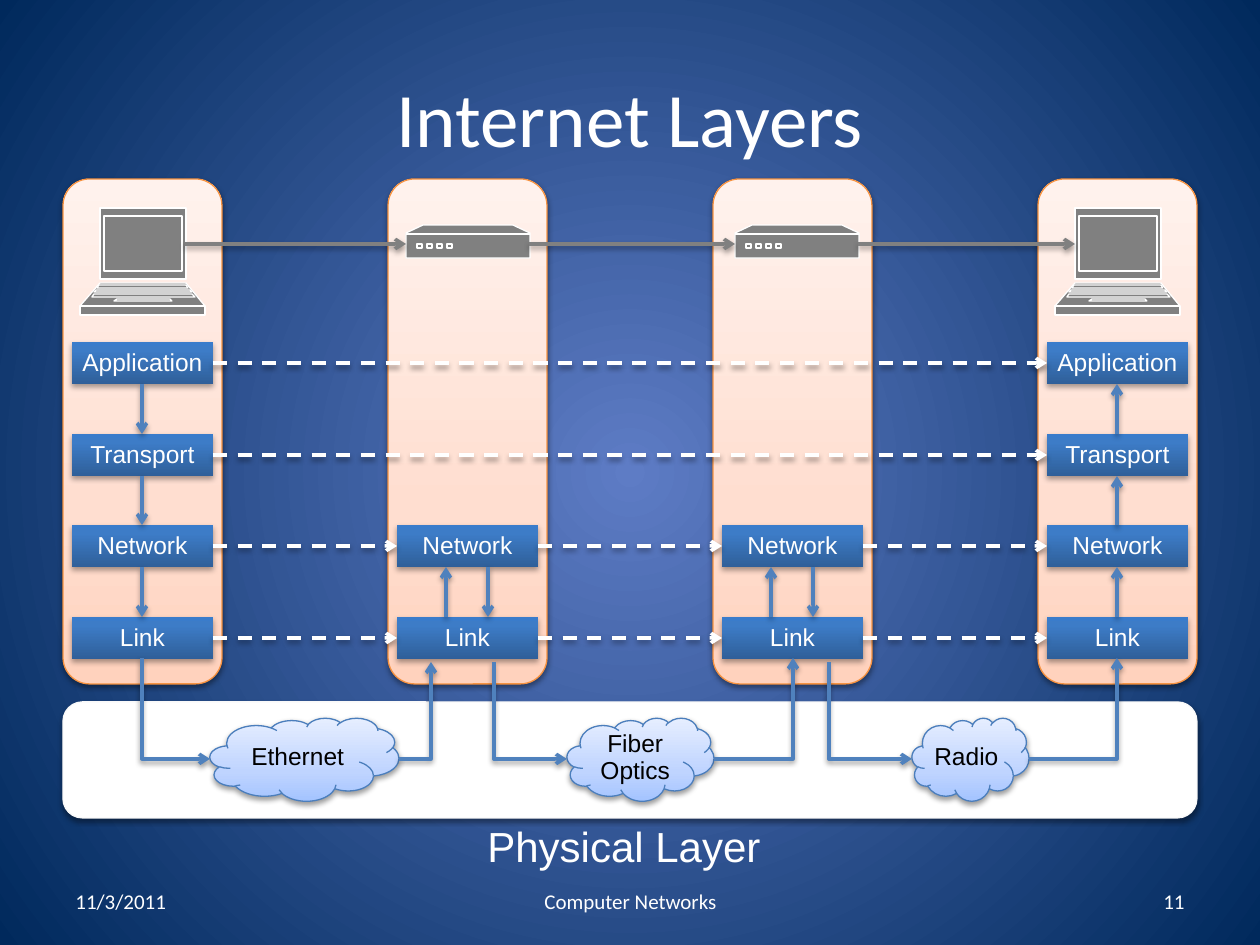
from itertools import pairwise

from lxml.etree import SubElement
from pptx import Presentation
from pptx.dml.color import RGBColor
from pptx.enum.dml import MSO_LINE
from pptx.enum.shapes import MSO_CONNECTOR, MSO_SHAPE
from pptx.enum.text import MSO_ANCHOR, PP_ALIGN
from pptx.oxml.ns import qn
from pptx.util import Pt

PX = 914400 / 126
COLORS = {"white": "FFFFFF", "black": "000000", "edge": "F9F9F9", "gray": "808080",
          "orange": "F69240", "blue": "4F81BD", "cloud_edge": "4B7EBC"}
GRADIENTS = {
    "back": [(0, "5E7CC5"), (100, "00295C")],
    "column": [(0, "FFD2BD"), (35, "FFDED0"), (100, "FFF2ED")],
    "layer": [(0, "2F5F99"), (80, "3D7CC7"), (100, "3A7CCB")],
    "cloud": [(0, "A4C4FF"), (35, "BFD4FF"), (100, "E6EEFF")],
}
LAYERS = ["Application", "Transport", "Network", "Link"]
LAYER_DY = [163 + round(i * 275 / 3) for i in range(4)]
LAYER_DX, LAYER_W, LAYER_H = 9, 141, 42
COLUMN_X = [63 + 325 * i for i in range(4)]
COLUMN_Y, COLUMN_W, COLUMN_H = 179, 159, 505


def emu(*lengths):
    return [round(n * PX) for n in lengths]


def rgb(name):
    return RGBColor.from_string(COLORS[name])


def add_gradient(fill, element, name, radial=False):
    fill.gradient()
    grad = element.find(".//" + qn("a:gradFill"))
    grad.clear()
    stops = SubElement(grad, qn("a:gsLst"))
    for pos, color in GRADIENTS[name]:
        stop = SubElement(stops, qn("a:gs"), pos=str(pos * 1000))
        SubElement(stop, qn("a:srgbClr"), val=color)
    if radial:
        shade = SubElement(grad, qn("a:path"), path="circle")
        SubElement(shade, qn("a:fillToRect"), dict.fromkeys("ltrb", "50000"))
    else:
        SubElement(grad, qn("a:lin"), ang="16200000", scaled="0")


def add_shadow(sp, alpha=38, dist=20000):
    effects = SubElement(sp._element.spPr, qn("a:effectLst"))
    shadow = SubElement(effects, qn("a:outerShdw"), blurRad="40000", dist=str(dist),
                        dir="5400000", rotWithShape="0")
    color = SubElement(shadow, qn("a:srgbClr"), val=COLORS["black"])
    SubElement(color, qn("a:alpha"), val=str(alpha * 1000))


def write(sp, text, size, font="Arial", color="white", align=PP_ALIGN.CENTER, spacing=0.93, **frame):
    tf = sp.text_frame
    for name, value in {"word_wrap": True, "vertical_anchor": MSO_ANCHOR.MIDDLE, **frame}.items():
        setattr(tf, name, value)
    p = tf.paragraphs[0]
    p.alignment, p.line_spacing = align, spacing
    r = p.add_run()
    r.text = text
    for name, value in {"size": Pt(size), "name": font}.items():
        setattr(r.font, name, value)
    r.font.color.rgb = rgb(color)


def add_label(slide, box, text, size, **style):
    write(slide.shapes.add_textbox(*emu(*box)), text, size, **style)


def add_box(slide, kind, box, gradient=None, edge=None, **shadow):
    sp = slide.shapes.add_shape(kind, *emu(*box))
    if gradient:
        add_gradient(sp.fill, sp._element, gradient)
    else:
        sp.fill.solid()
        sp.fill.fore_color.rgb = rgb("white")
    if edge:
        sp.line.color.rgb, sp.line.width = rgb(edge), Pt(0.75)
    else:
        sp.line.fill.background()
    add_shadow(sp, **shadow)
    return sp


def add_arrow(slide, start, end, color="blue", dashed=False, bent=False, tip="tailEnd"):
    """A bent arrow leaves its start sideways and turns once."""
    kind = MSO_CONNECTOR.ELBOW if bent else MSO_CONNECTOR.STRAIGHT
    cxn = slide.shapes.add_connector(kind, *emu(*start, *end))
    if bent:
        cxn._element.spPr.find(qn("a:prstGeom")).set("prst", "bentConnector2")
    cxn.line.color.rgb, cxn.line.width = rgb(color), Pt(2)
    if dashed:
        cxn.line.dash_style = MSO_LINE.DASH
    SubElement(cxn._element.spPr.find(qn("a:ln")), qn(f"a:{tip}"), type="arrow")
    add_shadow(cxn)


def add_icon(slide, x, y, outlines):
    """One freeform whose outlines are each filled on their own."""
    builder = slide.shapes.build_freeform(*outlines[0][0], scale=PX)
    for i, outline in enumerate(outlines):
        if i:
            builder.move_to(*outline[0])
        builder.add_line_segments(outline[1:], close=True)
    sp = builder.convert_to_shape(*emu(x, y))
    joined = sp._element.find(".//" + qn("a:path"))
    outline_list = joined.getparent()
    for step in list(joined):
        if step.tag == qn("a:moveTo"):
            part = SubElement(outline_list, qn("a:path"), dict(joined.attrib))
        part.append(step)
    outline_list.remove(joined)
    sp.fill.solid()
    sp.fill.fore_color.rgb = rgb("gray")
    sp.line.color.rgb, sp.line.width = rgb("white"), Pt(0.75)
    sp.shadow.inherit = False


def rect(left, top, right, bottom):
    return trapezoid(left, right, top, left, right, bottom)


def trapezoid(left, right, top, low_left, low_right, bottom):
    return [(left, top), (low_left, bottom), (low_right, bottom), (right, top)]


def add_laptop(slide, x, y):
    add_icon(slide, x, y, [
        rect(20, 0, 106, 71), trapezoid(20, 106, 75, 0, 125, 98), rect(0, 98, 125, 107),
        rect(24, 8, 102, 63), trapezoid(19, 106, 77, 17, 108, 80),
        trapezoid(37, 90, 91, 34, 92, 93), trapezoid(16, 110, 82, 14, 112, 84),
        trapezoid(14, 112, 86, 12, 115, 89)])


def add_router(slide, x, y):
    case = [(0, 8), (17, 0), (107, 0), (124, 8), (124, 33), (0, 33)]
    lights = [rect(11 + 10 * i, 19, 16 + 10 * i, 23) for i in range(4)]
    add_icon(slide, x, y, [case, [(0, 9), (124, 9)], *lights])


def add_column(slide, box, first_layer):
    x, y = box[:2]
    add_box(slide, MSO_SHAPE.ROUNDED_RECTANGLE, box, "column", "orange")
    for name, dy in list(zip(LAYERS, LAYER_DY))[first_layer:]:
        sp = add_box(slide, MSO_SHAPE.RECTANGLE, (x + LAYER_DX, y + dy, LAYER_W, LAYER_H),
                     "layer", alpha=35, dist=23000)
        write(sp, name, 14, margin_left=0, margin_right=0)


def add_host(slide, box, sends):
    x, y, w, h = box
    add_column(slide, box, 0)
    add_laptop(slide, x + 17, y + 29)
    for upper, lower in pairwise(LAYER_DY):
        ends = [(x + 79, y + upper + LAYER_H), (x + 79, y + lower)]
        add_arrow(slide, *(ends if sends else ends[::-1]))


def add_relay(slide, box, icon_dx):
    x, y, w, h = box
    add_column(slide, box, 2)
    add_router(slide, x + icon_dx, y + 46)
    top, bottom = y + LAYER_DY[2] + LAYER_H, y + LAYER_DY[3]
    add_arrow(slide, (x + 100, top), (x + 100, bottom))
    add_arrow(slide, (x + 58, bottom), (x + 58, top))


def add_medium(slide, box, name, source, target):
    """A cloud, with an arrow down from source and one up to target."""
    x, y, w, h = box
    sp = add_box(slide, MSO_SHAPE.CLOUD, box, "cloud", "cloud_edge")
    write(sp, name, 14, color="black", margin_left=0, margin_right=0)
    middle = y + h // 2
    add_arrow(slide, (x, middle), source, bent=True, tip="headEnd")
    add_arrow(slide, (x + w, middle), target, bent=True)


def add_physical_layer(slide, box):
    x, y, w, h = box
    add_label(slide, (x + 412, y + 117, 301, 60), "Physical Layer", 24, align=PP_ALIGN.LEFT,
              word_wrap=False, vertical_anchor=MSO_ANCHOR.TOP)
    for dx, width, name, source, target in [
            (147, 189, "Ethernet", (79, -44), (368, -40)),
            (504, 147, "Fiber Optics", (431, -40), (730, -44)),
            (849, 117, "Radio", (766, -40), (1054, -44))]:
        add_medium(slide, (x + dx, y + 16, width, 83), name,
                   *((x + px, y + py) for px, py in (source, target)))


def add_peer_arrows(slide):
    for left, right in [(185, 406), (529, 735), (858, 1075)]:
        add_arrow(slide, (left, 244), (right, 244), "gray")
    for i, dy in enumerate(LAYER_DY):
        y = COLUMN_Y + dy + LAYER_H // 2
        stops = COLUMN_X if i >= 2 else [COLUMN_X[0], COLUMN_X[-1]]
        for left, right in pairwise(stops):
            add_arrow(slide, (left + LAYER_DX + LAYER_W, y), (right + LAYER_DX, y), "white", dashed=True)


def add_footer(slide, box):
    x, y, w, h = box
    for dx, width, text, align in [(0, 294, "11/3/2011", PP_ALIGN.LEFT),
                                   (368, 399, "Computer Networks", PP_ALIGN.CENTER),
                                   (840, 294, "11", PP_ALIGN.RIGHT)]:
        add_label(slide, (x + dx, y, width, h), text, 12, font="Calibri", align=align, spacing=1)


def main():
    prs = Presentation()
    prs.slide_width, prs.slide_height = emu(1260, 945)
    slide = prs.slides.add_slide(prs.slide_layouts[6])
    add_gradient(slide.background.fill, slide._element, "back", radial=True)
    physical = (63, 702, 1134, 116)
    add_box(slide, MSO_SHAPE.ROUNDED_RECTANGLE, physical, edge="edge")
    add_label(slide, (63, 38, 1134, 158), "Internet Layers", 44, font="Calibri", spacing=1)
    add_footer(slide, (63, 876, 1134, 50))
    columns = [(x, COLUMN_Y, COLUMN_W, COLUMN_H) for x in COLUMN_X]
    add_host(slide, columns[0], sends=True)
    add_host(slide, columns[3], sends=False)
    add_relay(slide, columns[1], 18)
    add_relay(slide, columns[2], 22)
    add_physical_layer(slide, physical)
    add_peer_arrows(slide)
    prs.save("out.pptx")


if __name__ == "__main__":
    main()
